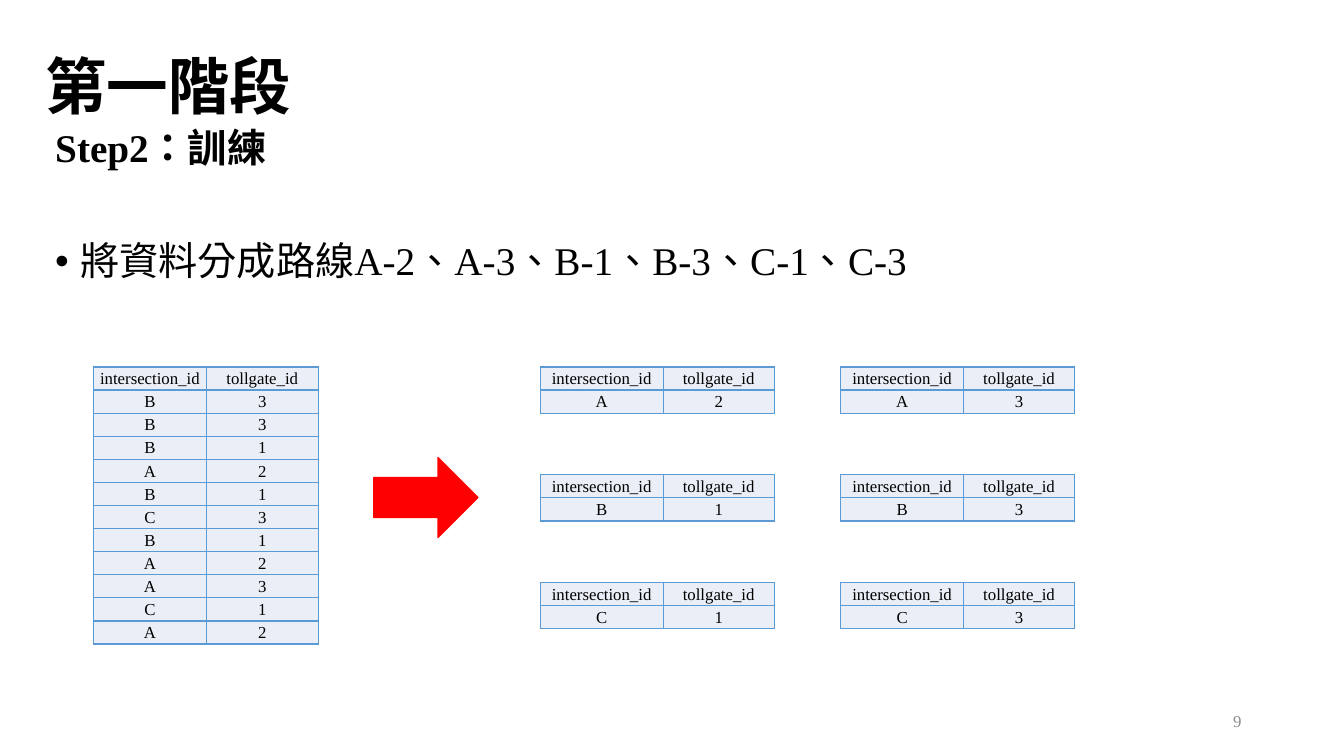
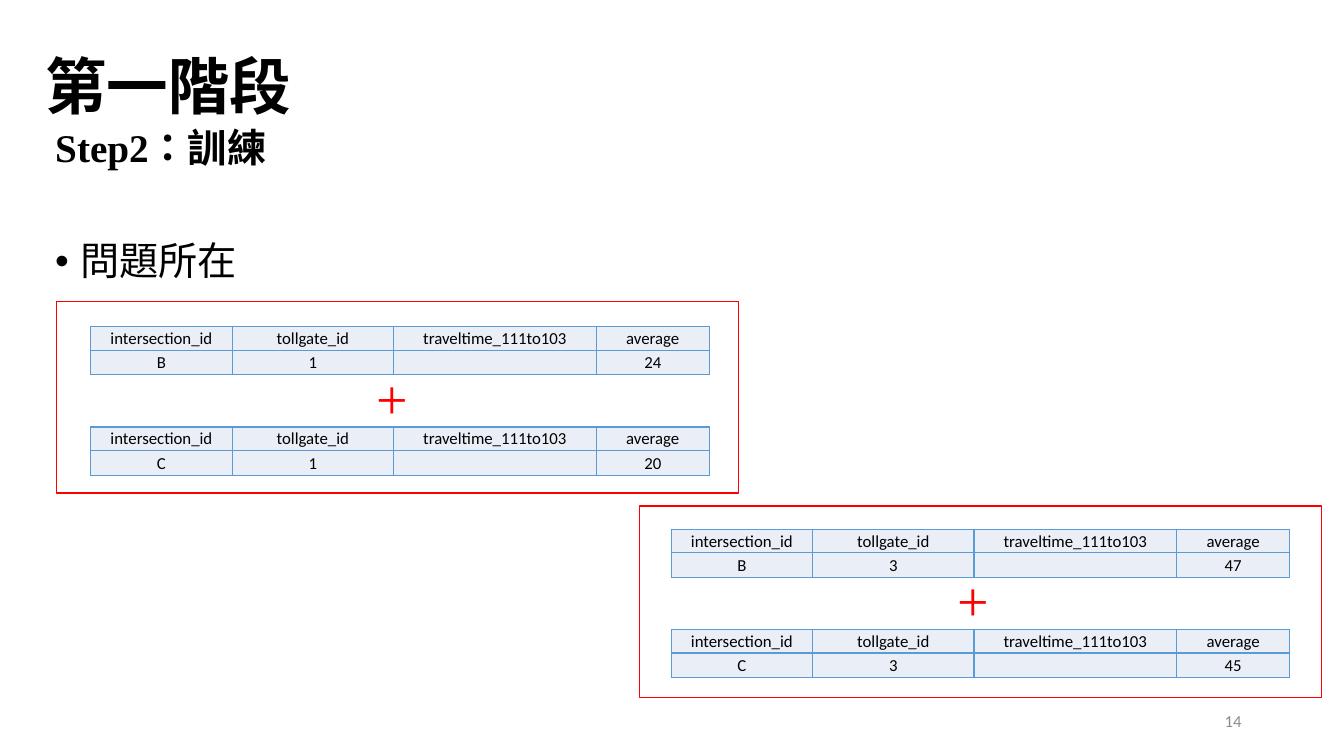
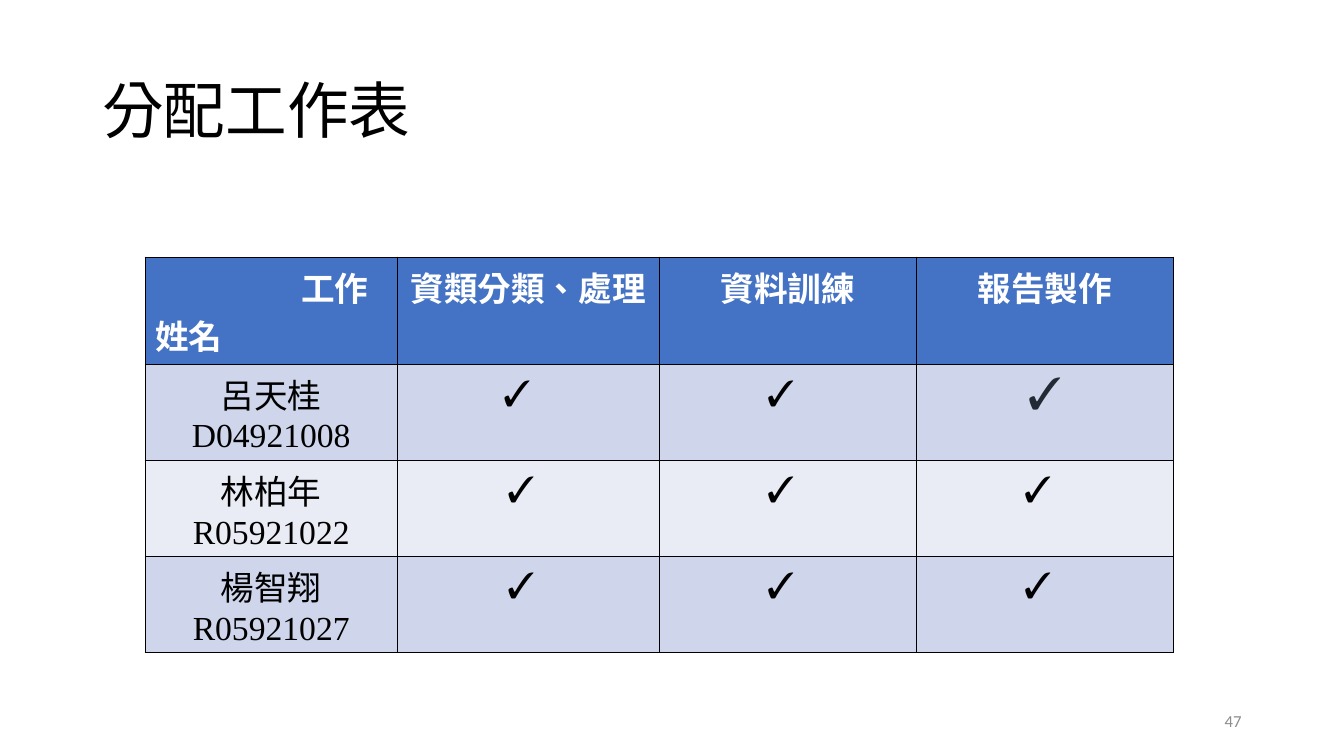
"""Builds three slides on route training and the sharing of work."""
from lxml import etree
from pptx import Presentation, util as u
from pptx.dml.color import RGBColor
from pptx.enum import lang, shapes, text
from pptx.oxml import parse_xml
from pptx.oxml.ns import nsdecls, qn

hue = RGBColor.from_string
UNIT = u.Inches(1 / 12)
COLS, ROWS = 160, 90
SERIF, SANS, CJK = "Times New Roman", "Calibri", "Noto Sans CJK SC"
BLACK, WHITE, RED, GREY = "000000", "FFFFFF", "FF0000", "8C8C8C"
PALE, EDGE, BLUE = "EAEFF7", "5B9BD5", "4472C4"
BANDS = ["CFD5EA", "E9EBF5"]
LEFT, MID, RIGHT = text.PP_ALIGN.LEFT, text.PP_ALIGN.CENTER, text.PP_ALIGN.RIGHT
TOP, HALF = text.MSO_ANCHOR.TOP, text.MSO_ANCHOR.MIDDLE
TAIWAN = lang.MSO_LANGUAGE_ID.TRADITIONAL_CHINESE
STEP = "Step2：訓練"
TICK = "✓"


def label(slide, box, words, size, font=SERIF, tint=BLACK, bold=False,
          align=LEFT, anchor=HALF, lead=0.9):
    frame = slide.shapes.add_textbox(*[int(v * UNIT) for v in box]).text_frame
    frame.word_wrap = True
    frame.vertical_anchor = anchor
    frame.text = words
    for par in frame.paragraphs:
        par.alignment, par.line_spacing = align, lead
        for run in par.runs:
            run.font.size, run.font.name, run.font.bold = u.Pt(size), font, bold
            run.font.color.rgb = hue(tint)
            run.font.language_id = TAIWAN
    return frame


def grid(slide, x, y, wide, high, data, font=SERIF, size=12, edge=EDGE, tight=True):
    table = slide.shapes.add_table(
        len(data), len(wide), int(x * UNIT), int(y * UNIT),
        int(sum(wide) * UNIT), int(sum(high) * UNIT)).table
    table.first_row = table.horz_banding = False
    for col, w in zip(table.columns, wide):
        col.width = int(w * UNIT)
    for row, h, words in zip(table.rows, high, data):
        row.height = int(h * UNIT)
        for cell, word in zip(row.cells, words):
            if tight:
                cell.margin_left = cell.margin_right = cell.margin_top = u.Inches(0.01)
                cell.margin_bottom = 0
                cell.vertical_anchor = HALF
            props = cell._tc.get_or_add_tcPr()
            for side in "LRTB":
                props.append(parse_xml(
                    f'<a:ln{side} {nsdecls("a")} w="12700"><a:solidFill>'
                    f'<a:srgbClr val="{edge}"/></a:solidFill></a:ln{side}>'))
            cell.fill.solid()
            cell.fill.fore_color.rgb = hue(PALE)
            cell.text_frame.text = word
            for par in cell.text_frame.paragraphs:
                par.alignment = MID
                if not word:
                    par._p.get_or_add_endParaRPr().set("sz", str(size * 100))
                for run in par.runs:
                    run.font.size, run.font.name = u.Pt(size), font
                    run.font.color.rgb = hue(BLACK)
                    run.font.language_id = TAIWAN
    return table


deck = Presentation()
deck.slide_width, deck.slide_height = COLS * UNIT, ROWS * UNIT
pages = []
for num, font in [("9", SERIF), ("14", SANS), ("47", SANS)]:
    page = deck.slides.add_slide(deck.slide_layouts[6])
    label(page, (113, 83.4, 36, 4.8), num, 12, font, GREY, align=RIGHT, lead=1)
    pages.append(page)
split, issue, work = pages

for page, point in [(split, "將資料分成路線A-2、A-3、B-1、B-3、C-1、C-3"),
                    (issue, "問題所在")]:
    label(page, (4.2, 1.92, 138, 17.4), "第一階段", 44, bold=True)
    body = label(page, (5.4, 14.76, 143.5, 64.2), f"{STEP}\n{point}", 28,
                 bold=True, anchor=TOP)
    par = body.paragraphs[1]
    par.space_before = u.Pt(50.4)
    par.runs[0].font.bold = False
    props = par._p.get_or_add_pPr()
    props.set("marL", str(u.Inches(0.25)))
    props.set("indent", str(-u.Inches(0.25)))
    etree.SubElement(props, qn("a:buFont")).set("typeface", "Arial")
    etree.SubElement(props, qn("a:buChar")).set("char", "•")

head = ["intersection_id", "tollgate_id"]
routes = "B3 B3 B1 A2 B1 C3 B1 A2 A3 C1 A2".split()
grid(split, 11.16, 43.68, [13.4, 13.35], [2.75] * 12, [head] + [list(r) for r in routes])
for i, pair in enumerate([("A2", "A3"), ("B1", "B3"), ("C1", "C3")]):
    for j, route in enumerate(pair):
        grid(split, 64.32 + 35.76 * j, 43.68 + 12.84 * i, [14.65, 13.2],
             [2.75] * 2, [head, list(route)])
arrow = split.shapes.add_shape(shapes.MSO_SHAPE.RIGHT_ARROW, *[
    int(v * UNIT) for v in (44.5, 54.48, 12.4, 9.5)])
arrow.shadow.inherit = False
arrow.fill.solid()
arrow.fill.fore_color.rgb = arrow.line.color.rgb = hue(RED)
arrow.line.width = u.Pt(1)

head += ["traveltime_111to103", "average"]
for box, x, y, gate, means in [((6.72, 35.88), 10.8, 38.88, "1", ("24", "20")),
                               ((76.1, 60.26), 79.9, 63, "3", ("47", "45"))]:
    for i, (start, mean) in enumerate(zip("BC", means)):
        grid(issue, x, y + 11.95 * i, [16.85, 19.2, 24.15, 13.45], [2.8, 2.95],
             [head, [start, gate, "", mean]], SANS)
    label(issue, (x + 30.8, y + 5.6, 10.3, 5.5), "+", 40, tint=RED, align=MID, lead=1)
    frame = issue.shapes.add_shape(shapes.MSO_SHAPE.RECTANGLE, *[
        int(v * UNIT) for v in (*box, 81.24, 22.8)])
    frame.shadow.inherit = False
    frame.fill.background()
    frame.line.color.rgb = hue(RED)
    frame.line.width = u.Pt(1)

label(work, (11, 4.8, 138, 17.4), "分配工作表", 44, CJK)
names = ["呂天桂D04921008", "林柏年R05921022", "楊智翔R05921027"]
table = grid(work, 17.28, 30.62, [30, 31.2, 30.6, 30.6], [12.75] + [11.45] * 3,
             [["工作\n姓名", "資類分類、處理", "資料訓練", "報告製作"]]
             + [[name] + [" "] * 3 for name in names],
             size=24, edge=BLACK, tight=False)
for cell in table.rows[0].cells:
    cell.fill.fore_color.rgb = hue(BLUE)
    for par in cell.text_frame.paragraphs:
        par.runs[0].font.bold = True
        par.runs[0].font.color.rgb = hue(WHITE)
job, name = table.cell(0, 0).text_frame.paragraphs
job.alignment = name.alignment = LEFT
job._p.get_or_add_pPr().set("marL", str(u.Inches(1.45)))
for i in range(1, 4):
    for j, cell in enumerate(table.rows[i].cells):
        cell.fill.fore_color.rgb = hue(BANDS[(i - 1) % 2])
        if not j:
            continue
        par = cell.text_frame.paragraphs[0]
        run = par.runs[0]
        run.font.size = u.Pt(32)
        if (i, j) == (1, 3):
            run.text = TICK
            run.font.bold, run.font.color.rgb = True, hue("222A35")
            continue
        inset = u.Inches(0.38 if i == j == 1 else 0.3)
        props = par._p.get_or_add_pPr()
        props.set("marL", str(inset))
        props.set("indent", str(-inset))
        etree.SubElement(props, qn("a:buSzPct")).set("val", "81000")
        etree.SubElement(props, qn("a:buFont")).set("typeface", SERIF)
        etree.SubElement(props, qn("a:buChar")).set("char", TICK)

deck.save("out.pptx")
